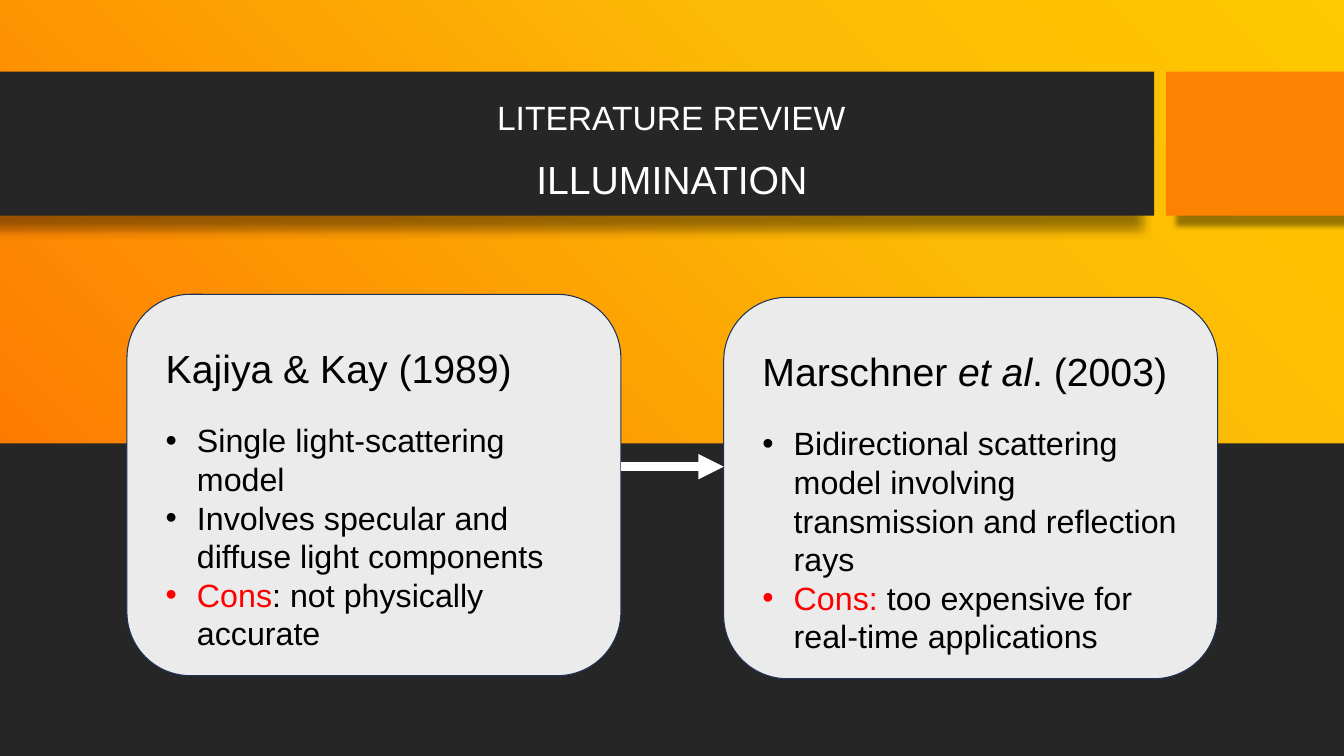
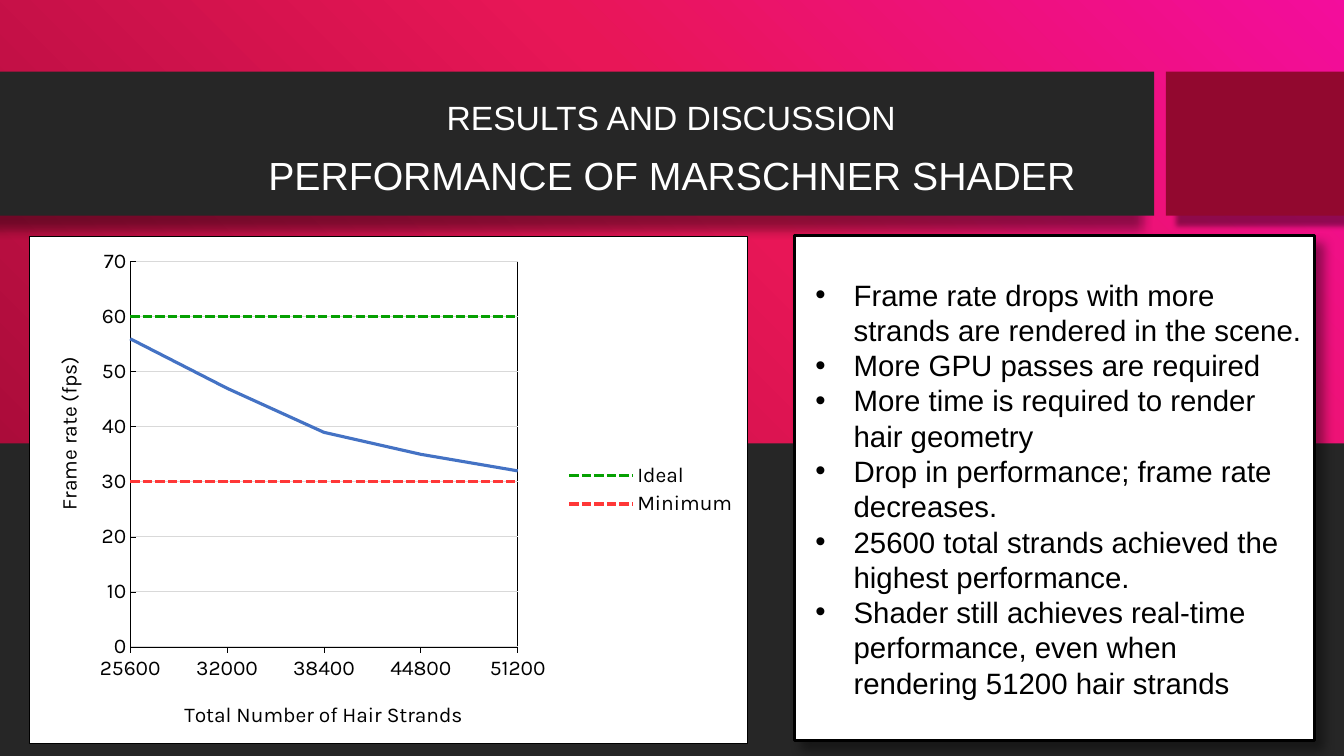
from dataclasses import dataclass

from lxml.etree import SubElement
from pptx import Presentation
from pptx.chart.data import CategoryChartData
from pptx.dml.color import RGBColor
from pptx.enum.chart import XL_CHART_TYPE as ChartType
from pptx.enum.chart import XL_LEGEND_POSITION as LegendPosition
from pptx.enum.chart import XL_TICK_MARK as TickMark
from pptx.enum.dml import MSO_LINE_DASH_STYLE as Dash
from pptx.enum.shapes import MSO_CONNECTOR as Connector
from pptx.enum.shapes import MSO_SHAPE as Preset
from pptx.enum.text import MSO_ANCHOR as Anchor
from pptx.enum.text import MSO_AUTO_SIZE as AutoSize
from pptx.enum.text import PP_ALIGN as Align
from pptx.oxml import parse_xml
from pptx.oxml.ns import nsdecls, qn
from pptx.util import Inches, Pt

COLUMNS, ROWS = 80, 45
CELL = Inches(7.5) / ROWS
TITLE_ONLY = 5


@dataclass(frozen=True)
class Theme:
    font: str = "Arial"
    chart_font: str = "Karla"
    dark: str = "262626"
    white: str = "FFFFFF"
    black: str = "000000"
    card: str = "EBEBEB"
    card_edge: str = "1E3256"
    warning: str = "FF0000"
    gridline: str = "D9D9D9"
    curve: str = "4472C4"
    ideal: str = "06A002"
    minimum: str = "FF3737"
    section_size: float = 24
    title_size: float = 28
    card_size: float = 23
    panel_size: float = 21
    chart_size: float = 15


THEME = Theme()
ORANGE = ("FE8201", [(1, "FFC901"), (31, "FCBB04"), (100, "FF6600")])
CRIMSON = ("92082F", [(1, "F40CA1"), (39, "E81657"), (100, "92082F")])

# Shadows: blur, distance (points) and direction (degrees)
BAND_SHADOW = (8, 13, 135)
ACCENT_SHADOW = (4, 10, 45)
PANEL_SHADOW = (8, 8, 45)


def cells(*counts):
    return [round(count * CELL) for count in counts]


def rgb(color):
    return RGBColor.from_string(color)


def style_font(font, size, color, name=THEME.font, italic=False):
    font.name, font.size, font.bold, font.italic = name, Pt(size), False, italic
    font.color.rgb = rgb(color)


def style_line(line, color, width):
    line.color.rgb = rgb(color)
    line.width = Pt(width)


def set_bullet(paragraph, left, hanging):
    properties = paragraph._p.get_or_add_pPr()
    properties.set("marL", str(Inches(left)))
    properties.set("indent", str(-Inches(hanging)))
    SubElement(properties, qn("a:buFont")).set("typeface", THEME.font)
    SubElement(properties, qn("a:buChar")).set("char", "•")


def add_runs(paragraph, parts, size):
    """Write (text, color, italic) parts as runs of one paragraph."""
    for text, color, italic in parts:
        run = paragraph.add_run()
        run.text = text
        style_font(run.font, size, color, italic=italic)


def plain(text):
    return text, THEME.black, False


def box_properties(fill, line, width):
    return parse_xml(
        f'<c:spPr {nsdecls("c", "a")}>{fill}<a:ln w="{Pt(width)}"><a:solidFill>'
        f'<a:srgbClr val="{line}"/></a:solidFill></a:ln></c:spPr>')


def place_in_chart(element, index, **shares):
    """Fix a chart part at the given shares of the chart area."""
    for old in element.findall(qn("c:layout")):
        element.remove(old)
    modes = {"xMode": "edge", "yMode": "edge"}
    if "w" in shares:
        modes = {"layoutTarget": "inner", **modes}
    values = "".join(f'<c:{tag} val="{value}"/>'
                     for tag, value in {**modes, **shares}.items())
    element.insert(index, parse_xml(
        f'<c:layout {nsdecls("c")}><c:manualLayout>{values}'
        f'</c:manualLayout></c:layout>'))


class Deck:
    def __init__(self):
        self.presentation = Presentation()
        self.presentation.slide_width = round(COLUMNS * CELL)
        self.presentation.slide_height = round(ROWS * CELL)
        self.slide = None

    def box(self, area, fill=None, line=None, line_width=0.75, shadow=None,
            preset=Preset.RECTANGLE):
        shape = self.slide.shapes.add_shape(preset, *cells(*area))
        shape.shadow.inherit = False
        if fill:
            shape.fill.solid()
            shape.fill.fore_color.rgb = rgb(fill)
        if line:
            style_line(shape.line, line, line_width)
        else:
            shape.line.fill.background()
        if shadow:
            blur, distance, direction = shadow
            shape._element.spPr.find(qn("a:effectLst")).append(parse_xml(
                f'<a:outerShdw {nsdecls("a")} blurRad="{Pt(blur)}" '
                f'dist="{Pt(distance)}" dir="{direction * 60000}" '
                f'rotWithShape="0"><a:srgbClr val="{THEME.black}">'
                f'<a:alpha val="40000"/></a:srgbClr></a:outerShdw>'))
        return shape

    def backdrop(self, stops):
        """Gradient spreading from the top right corner."""
        shape = self.box((-2.7, -2.2, 85.4, 49.3), preset=Preset.ROUNDED_RECTANGLE)
        stop_list = "".join(
            f'<a:gs pos="{share * 1000}"><a:srgbClr val="{color}"/></a:gs>'
            for share, color in stops)
        shape._element.spPr.find(qn("a:prstGeom")).addnext(parse_xml(
            f'<a:gradFill {nsdecls("a")} rotWithShape="1"><a:gsLst>{stop_list}'
            f'</a:gsLst><a:path path="circle"><a:fillToRect l="100000" '
            f'b="100000"/></a:path></a:gradFill>'))

    def heading(self, shape, text, size, line_spacing=1.0):
        frame = shape.text_frame
        frame.word_wrap = True
        frame.auto_size = AutoSize.NONE
        frame.vertical_anchor = Anchor.TOP
        frame.text = text
        paragraph = frame.paragraphs[0]
        paragraph.alignment = Align.CENTER
        paragraph.line_spacing = line_spacing
        style_font(paragraph.runs[0].font, size, THEME.white)

    def start(self, section, title, palette, title_top):
        """New slide with backdrop, bands, section name and title."""
        layout = self.presentation.slide_layouts[TITLE_ONLY]
        self.slide = self.presentation.slides.add_slide(layout)
        accent, stops = palette
        self.backdrop(stops)
        self.box((69.4, 4.26, 10.6, 8.58), accent, shadow=ACCENT_SHADOW)
        self.box((0, 4.26, 68.7, 8.58), THEME.dark, shadow=BAND_SHADOW)
        self.box((0, 26.4, 80, 18.6), THEME.dark, shadow=BAND_SHADOW)
        label = self.slide.shapes.add_textbox(*cells(19.74, 4.26, 40.44, 3.84))
        self.heading(label, section, THEME.section_size, 1.5)
        heading = self.slide.shapes.title
        heading.left, heading.top, heading.width, heading.height = cells(
            5.64, title_top, 68.7, 3.42)
        self.heading(heading, title, THEME.title_size)
        self.slide.shapes._spTree.append(heading._element)

    def bullets(self, paragraphs, items, size, left, hanging):
        for paragraph, parts in zip(paragraphs, items):
            paragraph.alignment = Align.LEFT
            set_bullet(paragraph, left, hanging)
            add_runs(paragraph, parts, size)

    def card(self, area, heading, items):
        shape = self.box(area, THEME.card, THEME.card_edge,
                         preset=Preset.ROUNDED_RECTANGLE)
        frame = shape.text_frame
        frame.word_wrap = True
        frame.vertical_anchor = Anchor.TOP
        frame.margin_left, frame.margin_top = Inches(0.2), Inches(0.31)
        first = frame.paragraphs[0]
        first.alignment = Align.LEFT
        add_runs(first, heading, THEME.title_size)
        paragraphs = [frame.add_paragraph() for _ in items]
        paragraphs[0].space_before = Pt(21)
        self.bullets(paragraphs, items, THEME.card_size, 0.31, 0.31)

    def panel(self, area, lines):
        shape = self.box(area, THEME.white, THEME.black, 2.25, PANEL_SHADOW)
        frame = shape.text_frame
        frame.word_wrap = True
        frame.vertical_anchor = Anchor.MIDDLE
        paragraphs = [frame.paragraphs[0]]
        paragraphs += [frame.add_paragraph() for _ in lines[1:]]
        self.bullets(paragraphs, [[plain(line)] for line in lines],
                     THEME.panel_size, 0.49, 0.38)

    def arrow(self, start, end, row):
        connector = self.slide.shapes.add_connector(
            Connector.STRAIGHT, *cells(start, row, end, row))
        style_line(connector.line, THEME.white, 6)
        SubElement(connector.line._get_or_add_ln(), qn("a:tailEnd")).set("type", "triangle")
        SubElement(connector._element.spPr, qn("a:effectLst"))

    def axis(self, axis, title, tick, rotation, **position):
        axis.major_tick_mark, axis.minor_tick_mark = tick, TickMark.NONE
        style_line(axis.format.line, THEME.black, 0.5)
        style_font(axis.tick_labels.font, THEME.chart_size, THEME.black, THEME.chart_font)
        frame = axis.axis_title.text_frame
        frame.text = title
        frame._txBody.bodyPr.set("rot", str(rotation * 60000))
        style_font(frame.paragraphs[0].runs[0].font, THEME.chart_size,
                   THEME.black, THEME.chart_font)
        place_in_chart(axis.axis_title._element, 1, **position)

    def line_chart(self, area, categories, series):
        data = CategoryChartData()
        data.categories = categories
        for name, values, _, _ in series:
            data.add_series(name, values)
        chart = self.slide.shapes.add_chart(
            ChartType.LINE, *cells(*area), data).chart
        chart.has_title = False
        style_font(chart.font, THEME.chart_size, THEME.black, THEME.chart_font)
        chart.plots[0].vary_by_categories = False
        for line, (_, _, color, dash) in zip(chart.plots[0].series, series):
            line.smooth = False
            style_line(line.format.line, color, 2.25)
            line.format.line.dash_style = dash

        # Axes, with the curves starting on the value axis
        self.axis(chart.category_axis, "Total Number of Hair Strands",
                  TickMark.OUTSIDE, 0, x=0.21, y=0.91)
        value_axis = chart.value_axis
        self.axis(value_axis, "Frame rate (fps)", TickMark.INSIDE, -90, x=0.03, y=0.23)
        value_axis.minimum_scale, value_axis.maximum_scale = 0, 70
        value_axis.major_unit = 10
        style_line(value_axis.major_gridlines.format.line, THEME.gridline, 0.75)
        value_axis._element.find(qn("c:majorUnit")).addprevious(parse_xml(
            f'<c:crossBetween {nsdecls("c")} val="midCat"/>'))

        # Legend for the two limits only
        chart.has_legend = True
        legend = chart.legend
        legend.position = LegendPosition.RIGHT
        legend.include_in_layout = False
        style_font(legend.font, THEME.chart_size, THEME.black, THEME.chart_font)
        legend._element.get_or_add_legendPos().addnext(parse_xml(
            f'<c:legendEntry {nsdecls("c")}><c:idx val="0"/>'
            f'<c:delete val="1"/></c:legendEntry>'))

        # Frames of the plot and of the whole chart
        chart_element = chart._chartSpace.find(qn("c:chart"))
        plot_area = chart_element.find(qn("c:plotArea"))
        place_in_chart(plot_area, 0, x=0.14, y=0.05, w=0.54, h=0.76)
        plot_area.append(box_properties("<a:noFill/>", THEME.black, 0.5))
        white = f'<a:solidFill><a:srgbClr val="{THEME.white}"/></a:solidFill>'
        chart_element.addnext(box_properties(white, THEME.black, 0.75))


def build_illumination(deck):
    deck.start("LITERATURE REVIEW", "ILLUMINATION", ORANGE, 8.94)
    left, right, width, height = 7.56, 43.08, 29.4, 22.7
    deck.card((left, 17.52, width, height), [plain("Kajiya & Kay (1989)")], [
        [plain("Single light-scattering model")],
        [plain("Involves specular and diffuse light components")],
        [("Cons", THEME.warning, False), plain(": not physically accurate")]])
    deck.card((right, 17.7, width, height), [
        plain("Marschner "), ("et al", THEME.black, True), plain(". (2003)")], [
        [plain("Bidirectional scattering model involving transmission and reflection rays")],
        [("Cons: ", THEME.warning, False), plain("too expensive for real-time applications")]])
    deck.arrow(left + width, right, 27.78)


def build_performance(deck):
    deck.start("RESULTS AND DISCUSSION", "PERFORMANCE OF MARSCHNER SHADER", CRIMSON, 8.7)
    deck.panel((47.28, 14.04, 30.96, 30.06), [
        "Frame rate drops with more strands are rendered in the scene.",
        "More GPU passes are required",
        "More time is required to render hair geometry",
        "Drop in performance; frame rate decreases.",
        "25600 total strands achieved the highest performance.",
        "Shader still achieves real-time performance, even when rendering 51200 hair strands"])
    strands = [str(count) for count in range(25600, 51201, 6400)]
    deck.line_chart((1.74, 14.04, 42.78, 30.24), strands, [
        ("Series 1", [56, 47, 39, 35, 32], THEME.curve, Dash.SOLID),
        ("Ideal", [60] * len(strands), THEME.ideal, Dash.SQUARE_DOT),
        ("Minimum", [30] * len(strands), THEME.minimum, Dash.SQUARE_DOT)])


def main():
    deck = Deck()
    build_illumination(deck)
    build_performance(deck)
    deck.presentation.save("out.pptx")


if __name__ == "__main__":
    main()
